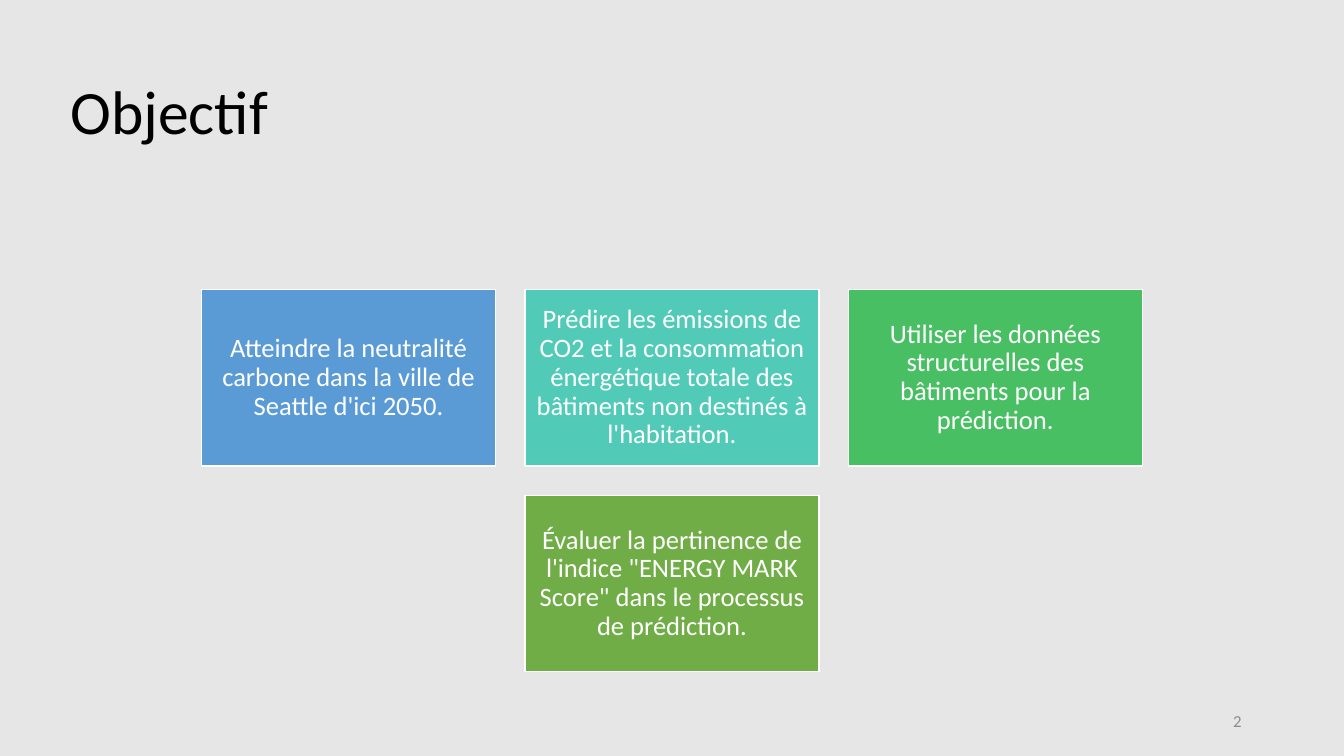
import pptx
import pptx.dml.color
import pptx.enum.shapes
import pptx.enum.text
import pptx.util

Pt = pptx.util.Pt
RGBColor = pptx.dml.color.RGBColor
PP_ALIGN = pptx.enum.text.PP_ALIGN
MIDDLE = pptx.enum.text.MSO_ANCHOR.MIDDLE

FONT = "Calibri"
BACKGROUND = RGBColor(0xE7, 0xE6, 0xE6)
BLACK = RGBColor(0x00, 0x00, 0x00)
WHITE = RGBColor(0xFF, 0xFF, 0xFF)
GREY = RGBColor(0x8C, 0x8C, 0x8C)
BLUE = RGBColor(0x5B, 0x9B, 0xD5)
TEAL = RGBColor(0x52, 0xCA, 0xB8)
GREEN = RGBColor(0x49, 0xBF, 0x64)
OLIVE = RGBColor(0x70, 0xAD, 0x47)

SLIDE_WIDTH, SLIDE_HEIGHT = 960, 540
CARD_WIDTH, CARD_HEIGHT, GAP = 210, 126, 21
CARDS_TOP = 206.8

# Rows of cards, each row centred on the slide
CARD_ROWS = [
    [
        ("Atteindre la neutralité carbone dans la ville de Seattle d'ici 2050.", BLUE),
        ("Prédire les émissions de CO2 et la consommation énergétique totale "
         "des bâtiments non destinés à l'habitation.", TEAL),
        ("Utiliser les données structurelles des bâtiments pour la prédiction.", GREEN),
    ],
    [
        ("Évaluer la pertinence de l'indice \"ENERGY MARK Score\" "
         "dans le processus de prédiction.", OLIVE),
    ],
]


def write_text(shape, text, size, color, alignment, line_spacing=1.0):
    frame = shape.text_frame
    frame.word_wrap = True
    frame.auto_size = pptx.enum.text.MSO_AUTO_SIZE.NONE
    frame.vertical_anchor = MIDDLE
    paragraph = frame.paragraphs[0]
    paragraph.alignment = alignment
    paragraph.line_spacing = line_spacing
    run = paragraph.add_run()
    run.text = text
    run.font.name = FONT
    run.font.size = Pt(size)
    run.font.color.rgb = color


def set_title(slide, text):
    title = slide.shapes.title
    title.left, title.top = Pt(43.2), Pt(43.2)
    title.width, title.height = Pt(575.3), Pt(77.8)
    write_text(title, text, 44, BLACK, PP_ALIGN.LEFT, 0.9)


def add_card(slide, left, top, text, color):
    card = slide.shapes.add_shape(
        pptx.enum.shapes.MSO_SHAPE.RECTANGLE,
        Pt(left), Pt(top), Pt(CARD_WIDTH), Pt(CARD_HEIGHT))
    card.shadow.inherit = False
    card.fill.solid()
    card.fill.fore_color.rgb = color
    card.line.color.rgb = WHITE
    card.line.width = Pt(1)
    frame = card.text_frame
    frame.margin_left = frame.margin_right = Pt(5.7)
    frame.margin_top = frame.margin_bottom = Pt(5.7)
    write_text(card, text, 19, WHITE, PP_ALIGN.CENTER, 0.9)


def add_cards(slide):
    for row, cards in enumerate(CARD_ROWS):
        row_width = len(cards) * (CARD_WIDTH + GAP) - GAP
        row_left = (SLIDE_WIDTH - row_width) / 2
        top = CARDS_TOP + row * (CARD_HEIGHT + GAP)
        for column, (text, color) in enumerate(cards):
            left = row_left + column * (CARD_WIDTH + GAP)
            add_card(slide, left, top, text, color)


def add_page_number(slide, number):
    box = slide.shapes.add_textbox(Pt(678), Pt(500.5), Pt(216), Pt(28.75))
    write_text(box, number, 12, GREY, PP_ALIGN.RIGHT)


def main():
    presentation = pptx.Presentation()
    presentation.slide_width = Pt(SLIDE_WIDTH)
    presentation.slide_height = Pt(SLIDE_HEIGHT)

    # Title-only slide with a plain background
    slide = presentation.slides.add_slide(presentation.slide_layouts[5])
    slide.background.fill.solid()
    slide.background.fill.fore_color.rgb = BACKGROUND

    set_title(slide, "Objectif")
    add_cards(slide)
    add_page_number(slide, "2")
    presentation.save("out.pptx")


if __name__ == "__main__":
    main()
